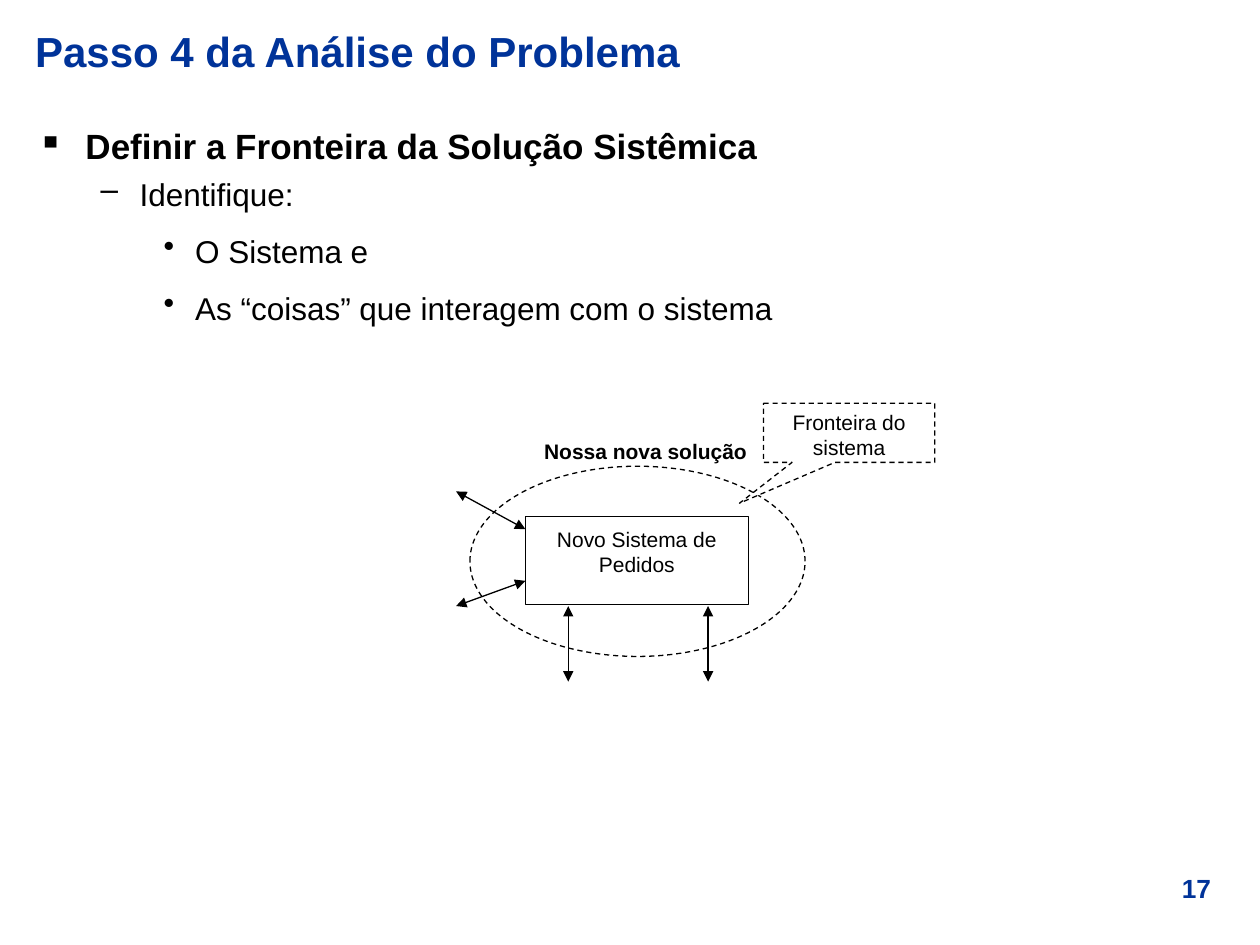
from dataclasses import dataclass

from lxml import etree
from pptx import Presentation
from pptx.dml.color import RGBColor
from pptx.enum.dml import MSO_LINE
from pptx.enum.shapes import MSO_CONNECTOR, MSO_SHAPE
from pptx.enum.text import MSO_ANCHOR, PP_ALIGN
from pptx.oxml.ns import qn
from pptx.util import Inches, Pt

RECT, OVAL = MSO_SHAPE.RECTANGLE, MSO_SHAPE.OVAL
CALL = MSO_SHAPE.RECTANGULAR_CALLOUT
LEFT, MID = PP_ALIGN.LEFT, PP_ALIGN.CENTER
TOP, MIDDLE = MSO_ANCHOR.TOP, MSO_ANCHOR.MIDDLE
DASH, STRAIGHT = MSO_LINE.DASH, MSO_CONNECTOR.STRAIGHT


@dataclass(frozen=True)
class Theme:
    face: str = "Arial"
    blue: RGBColor = RGBColor(0x00, 0x33, 0x99)
    ink: RGBColor = RGBColor(0, 0, 0)
    paper: RGBColor = RGBColor(255, 255, 255)
    title: int = 24
    head: int = 20
    body: int = 18
    page: int = 15
    label: int = 12
    rule: float = 0.75


def apply(target, values):
    for name, value in values.items():
        setattr(target, name, value)


class Pen:
    def __init__(self, slide, theme):
        self.slide, self.theme = slide, theme

    def words(self, para, text, size, bold=False, color=None):
        run = para.add_run()
        run.text = text
        apply(run.font, {"name": self.theme.face, "size": Pt(size), "bold": bold})
        run.font.color.rgb = color or self.theme.ink

    def text(self, box, text, size, bold=False, color=None, align=LEFT, anchor=TOP):
        shape = self.slide.shapes.add_textbox(*map(Inches, box))
        apply(shape.text_frame, {"word_wrap": True, "vertical_anchor": anchor})
        para = shape.text_frame.paragraphs[0]
        para.alignment = align
        self.words(para, text, size, bold, color)

    def bullets(self, box, items):
        frame = self.slide.shapes.add_textbox(*map(Inches, box)).text_frame
        frame.word_wrap = True
        # level: mark, text indent, hanging indent, line spacing
        levels = [("▪", 0.38, 0.38, 1.0), ("–", 0.81, 0.31, 1.0), ("•", 1.25, 0.25, 1.3)]
        for i, (level, text) in enumerate(items):
            para = frame.add_paragraph() if i else frame.paragraphs[0]
            mark, left, hang, space = levels[level]
            props = para._p.get_or_add_pPr()
            props.set("marL", str(Inches(left)))
            props.set("indent", str(-Inches(hang)))
            etree.SubElement(props, qn("a:buChar")).set("char", mark)
            apply(para, {"level": level, "line_spacing": space,
                         "space_before": Pt(4.5 if i else 0)})
            size = self.theme.body if level else self.theme.head
            self.words(para, text, size, bold=not level)

    def shape(self, kind, box, text="", dash=None, inset=0.05, adjust=()):
        shape = self.slide.shapes.add_shape(kind, *map(Inches, box))
        shape.shadow.inherit = False
        for i, value in enumerate(adjust):
            shape.adjustments[i] = value
        shape.fill.solid()
        shape.fill.fore_color.rgb = self.theme.paper
        shape.line.color.rgb = self.theme.ink
        apply(shape.line, {"width": Pt(self.theme.rule), "dash_style": dash})
        if text:
            frame = shape.text_frame
            apply(frame, {"word_wrap": True, "vertical_anchor": TOP,
                          "margin_top": Inches(inset)})
            frame.paragraphs[0].alignment = MID
            self.words(frame.paragraphs[0], text, self.theme.label)

    def arrow(self, start, end):
        line = self.slide.shapes.add_connector(STRAIGHT, *map(Inches, start + end))
        line.line.color.rgb = self.theme.ink
        line.line.width = Pt(self.theme.rule)
        props = line._element.spPr
        stroke = props.find(qn("a:ln"))
        for tag in ("a:headEnd", "a:tailEnd"):
            etree.SubElement(stroke, qn(tag)).set("type", "triangle")
        etree.SubElement(props, qn("a:effectLst"))


def main():
    deck = Presentation()
    apply(deck, {"slide_width": Inches(10), "slide_height": Inches(7.5)})
    theme = Theme()
    pen = Pen(deck.slides.add_slide(deck.slide_layouts[6]), theme)

    # Page number
    pen.text((9.1, 6.87, 0.79, 0.35), "17", theme.page, True, theme.blue, MID)

    # Solution boundary and system
    pen.text((4.22, 3.43, 1.82, 0.3), "Nossa nova solução", theme.label, True)
    pen.shape(OVAL, (3.73, 3.7, 2.66, 1.51), dash=DASH)
    pen.shape(RECT, (4.17, 4.1, 1.77, 0.7), "Novo Sistema de Pedidos", inset=0.08)
    pen.shape(CALL, (6.06, 3.2, 1.36, 0.47), "Fronteira do sistema",
              dash=DASH, adjust=(-0.64, 1.19))

    # Links from outside to the system's left and bottom edges
    for far, near in ((3.9, 4.2), (4.81, 4.61)):
        pen.arrow((3.62, far), (4.17, near))
    for x in (4.51, 5.62):
        pen.arrow((x, 4.81), (x, 5.41))

    # Title and body
    pen.text((0.18, 0.13, 9.62, 0.55), "Passo 4 da Análise do Problema",
             theme.title, True, theme.blue, anchor=MIDDLE)
    pen.bullets((0.2, 0.94, 9.61, 5.75), [
        (0, "Definir a Fronteira da Solução Sistêmica"),
        (1, "Identifique:"),
        (2, "O Sistema e"),
        (2, "As “coisas” que interagem com o sistema"),
    ])
    deck.save("out.pptx")


if __name__ == "__main__":
    main()
